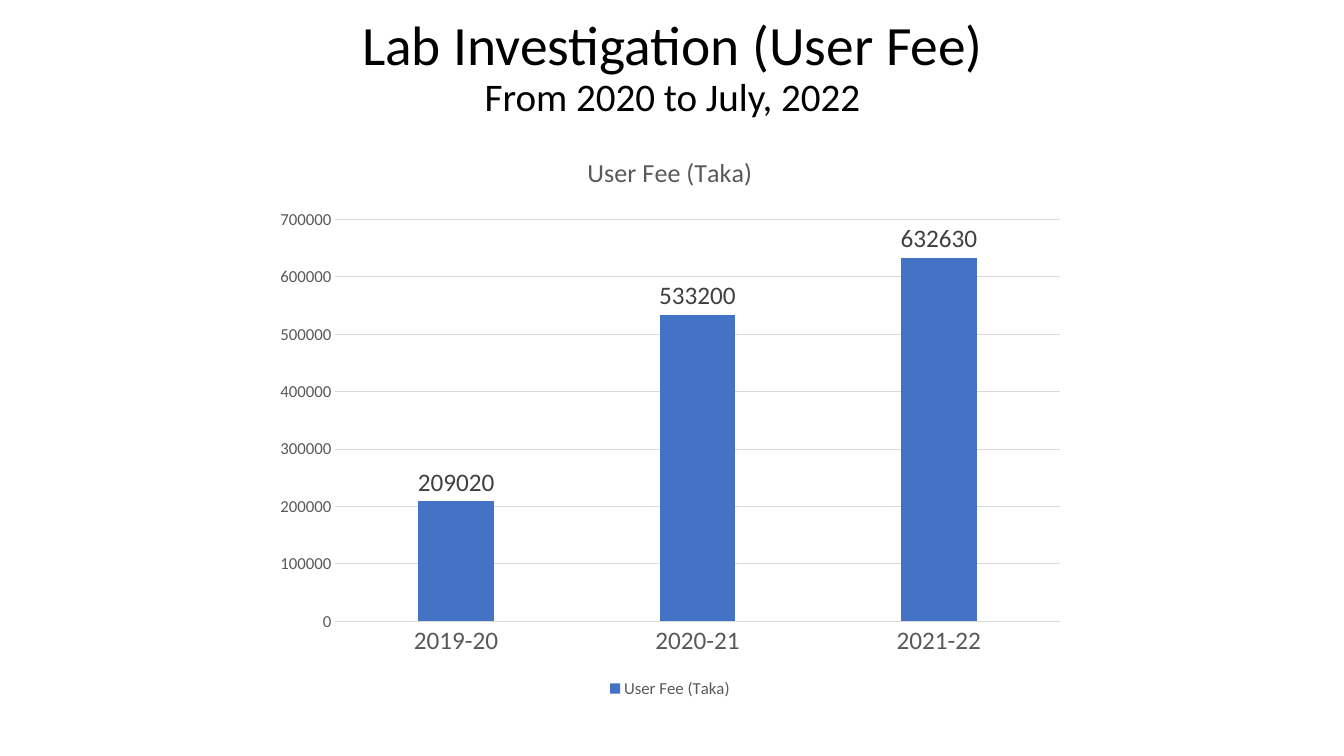
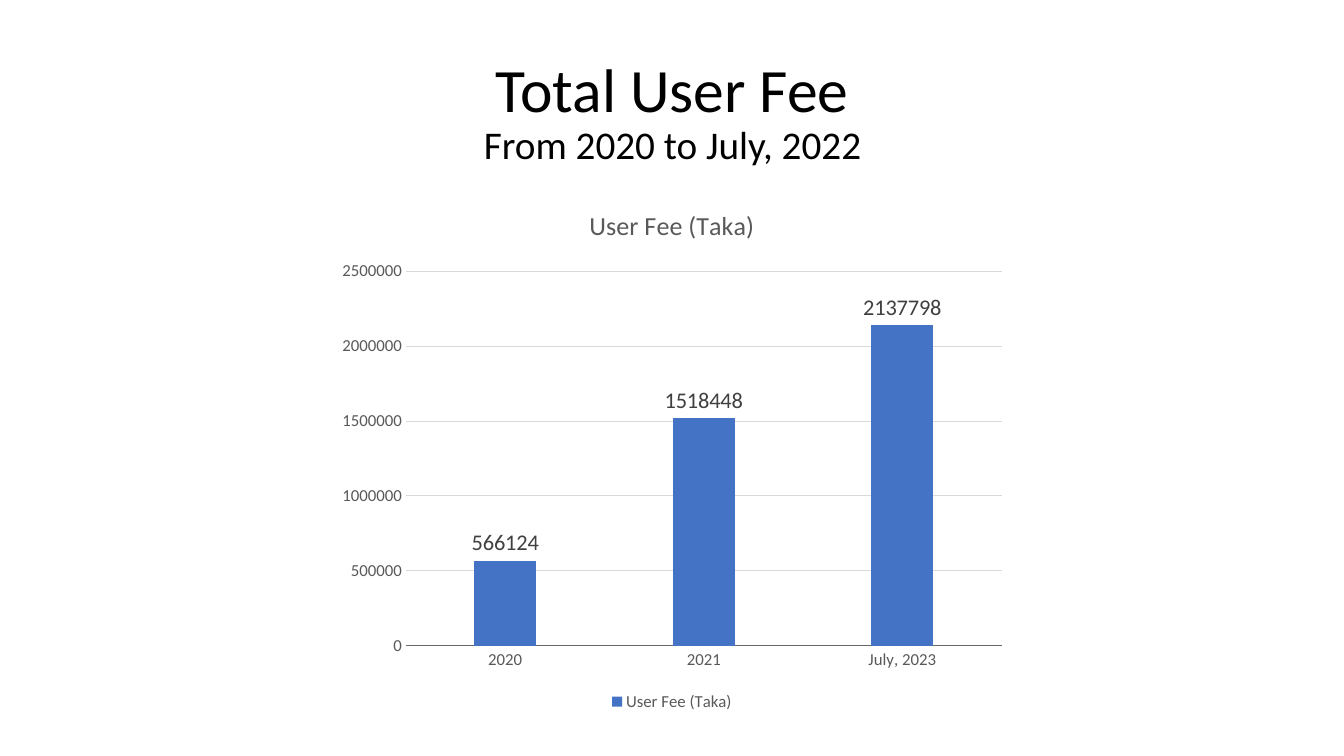
import pptx
import pptx.chart.data
import pptx.dml.color
import pptx.enum.chart
import pptx.enum.text
import pptx.util

FONT = "Calibri"
COLORS = {
    "title": "000000",
    "muted": "595959",
    "label": "404040",
    "grid": "D9D9D9",
    "axis": "666666",
    "bar": "4472C4",
}
SERIES_NAME = "User Fee (Taka)"
PERIOD = "From 2020 to July, 2022"
TITLE_ONLY_LAYOUT = 5

SLIDES = [
    {
        "title": "Lab Investigation (User Fee)",
        "title_box": (0.92, 0.16, 11.5, 1.05),
        "title_sizes": (39.6, 27.9),
        "chart_box": (2.62, 1.32, 8.05, 5.65),
        "values": {"2019-20": 209020, "2020-21": 533200, "2021-22": 632630},
        "category_size": 18,
        "label_size": 18,
        "axis_color": "grid",
    },
    {
        "title": "Total User Fee",
        "title_box": (0.92, 0.4, 11.5, 1.45),
        "title_sizes": (44, 28),
        "chart_box": (3.26, 1.85, 6.81, 5.25),
        "values": {"2020": 566124, "2021": 1518448, "July, 2023": 2137798},
        "category_size": 12,
        "label_size": 16,
        "axis_color": "axis",
    },
]


def rgb(name):
    """Return the named palette colour."""
    return pptx.dml.color.RGBColor.from_string(COLORS[name])


def inches(box):
    """Convert a box of numbers to lengths."""
    return [pptx.util.Inches(value) for value in box]


def format_font(font, size, color):
    """Apply the shared typeface with a size and colour."""
    font.name = FONT
    font.size = pptx.util.Pt(size)
    font.bold = False
    font.color.rgb = rgb(color)


def add_text(paragraph, text, size=18, color="title"):
    """Add one formatted run to a paragraph."""
    run = paragraph.add_run()
    run.text = text
    format_font(run.font, size, color)


def format_line(line, color):
    """Give a line the shared width and a palette colour."""
    line.color.rgb = rgb(color)
    line.width = pptx.util.Pt(0.75)


def place_title(slide, box, title, sizes):
    """Fill the title placeholder with a heading and the period."""
    shape = slide.shapes.title
    shape.left, shape.top, shape.width, shape.height = inches(box)
    frame = shape.text_frame
    frame.word_wrap = True
    frame.auto_size = pptx.enum.text.MSO_AUTO_SIZE.NONE
    frame.vertical_anchor = pptx.enum.text.MSO_ANCHOR.MIDDLE
    paragraph = frame.paragraphs[0]
    paragraph.alignment = pptx.enum.text.PP_ALIGN.CENTER
    paragraph.line_spacing = 0.9
    add_text(paragraph, title, size=sizes[0])
    paragraph.add_line_break()
    add_text(paragraph, PERIOD, size=sizes[1])


def format_axes(chart, category_size, axis_color):
    """Style both axes and the gridlines."""
    for axis, size in ((chart.category_axis, category_size), (chart.value_axis, 12)):
        axis.major_tick_mark = pptx.enum.chart.XL_TICK_MARK.NONE
        axis.minor_tick_mark = pptx.enum.chart.XL_TICK_MARK.NONE
        format_font(axis.tick_labels.font, size, "muted")
    format_line(chart.category_axis.format.line, axis_color)
    chart.value_axis.format.line.fill.background()
    chart.value_axis.has_major_gridlines = True
    format_line(chart.value_axis.major_gridlines.format.line, "grid")


def format_columns(plot, label_size):
    """Style the columns and their value labels."""
    plot.gap_width = 219
    plot.overlap = -27
    plot.vary_by_categories = False
    series = plot.series[0]
    series.format.fill.solid()
    series.format.fill.fore_color.rgb = rgb("bar")
    labels = series.data_labels
    labels.show_value = True
    labels.position = pptx.enum.chart.XL_LABEL_POSITION.OUTSIDE_END
    format_font(labels.font, label_size, "label")


def place_chart(slide, box, values, category_size, label_size, axis_color):
    """Add a column chart of user fees within a box."""
    data = pptx.chart.data.CategoryChartData()
    data.categories = list(values)
    data.add_series(SERIES_NAME, list(values.values()))
    kind = pptx.enum.chart.XL_CHART_TYPE.COLUMN_CLUSTERED
    chart = slide.shapes.add_chart(kind, *inches(box), data).chart
    format_font(chart.font, 10, "title")
    chart.has_title = True
    add_text(chart.chart_title.text_frame.paragraphs[0], SERIES_NAME, size=18.6, color="muted")
    chart.chart_title.include_in_layout = False
    chart.has_legend = True
    chart.legend.position = pptx.enum.chart.XL_LEGEND_POSITION.BOTTOM
    chart.legend.include_in_layout = False
    format_font(chart.legend.font, 12, "muted")
    format_axes(chart, category_size, axis_color)
    format_columns(chart.plots[0], label_size)


def build_slide(presentation, content):
    """Add one slide with a title above a fee chart."""
    slide = presentation.slides.add_slide(presentation.slide_layouts[TITLE_ONLY_LAYOUT])
    place_title(slide, content["title_box"], content["title"], content["title_sizes"])
    place_chart(
        slide,
        content["chart_box"],
        content["values"],
        content["category_size"],
        content["label_size"],
        content["axis_color"],
    )


def main():
    """Build and save the presentation."""
    presentation = pptx.Presentation()
    presentation.slide_width = pptx.util.Inches(13.33)
    presentation.slide_height = pptx.util.Inches(7.5)
    for content in SLIDES:
        build_slide(presentation, content)
    presentation.save("out.pptx")


if __name__ == "__main__":
    main()
